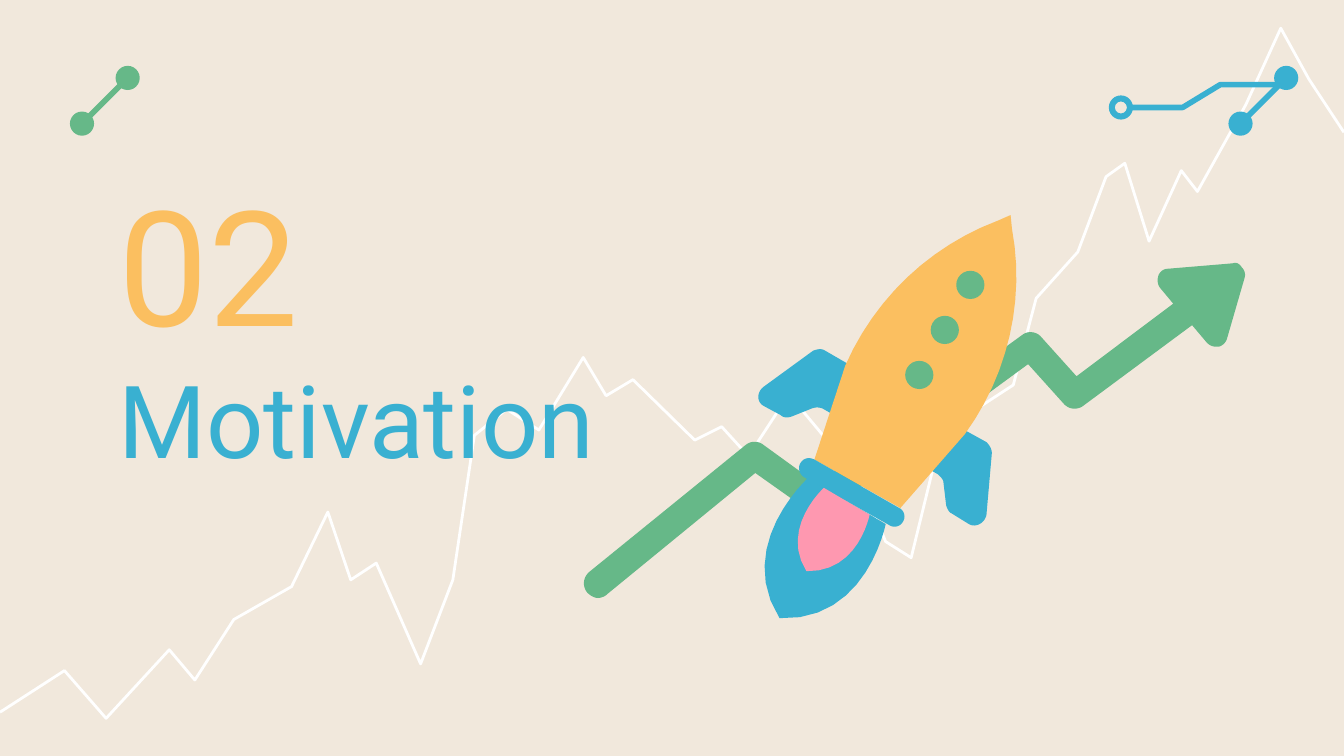
import pptx
import pptx.dml.color
import pptx.enum.shapes
import pptx.enum.text
import pptx.oxml.ns
import pptx.util
from lxml import etree

Inches = pptx.util.Inches
RGBColor = pptx.dml.color.RGBColor
Shape = pptx.enum.shapes.MSO_SHAPE

SAND = RGBColor(0xF1, 0xE8, 0xDC)
WHITE = RGBColor(0xFF, 0xFF, 0xFF)
GREEN = RGBColor(0x66, 0xB8, 0x88)
BLUE = RGBColor(0x39, 0xB0, 0xD1)
YELLOW = RGBColor(0xFB, 0xBF, 0x60)
PINK = RGBColor(0xFE, 0x98, 0xB0)

# Outlines in inches: a pair is a straight step, six numbers are a Bezier step.
TREND = [(0, 5.3), (0.48, 4.99), (0.79, 5.345), (1.26, 4.835), (1.45, 5.06),
         (1.74, 4.61), (2.17, 4.365), (2.44, 3.81), (2.61, 4.315), (2.8, 4.19),
         (3.13, 4.94), (3.37, 4.315), (3.53, 3.24), (3.77, 3.045), (4.01, 3.2),
         (4.34, 2.66), (4.51, 2.945), (4.71, 2.825), (5.17, 3.275), (5.37, 3.175),
         (5.57, 3.395), (5.87, 2.935), (6.4, 3.57), (6.59, 4.03), (6.78, 4.15),
         (7.01, 3.21), (7.54, 2.865), (7.71, 2.22), (8.02, 1.875), (8.23, 1.315),
         (8.37, 1.215), (8.55, 1.795), (8.79, 1.27), (8.91, 1.425), (9.27, 0.78),
         (9.53, 0.21), (9.74, 0.59), (10, 0.985)]
ARROW = [(9.24, 1.99), (9.22, 1.96, 9.2, 1.95, 9.17, 1.96), (8.69, 2),
         (8.66, 2, 8.63, 2.02, 8.62, 2.05), (8.61, 2.08, 8.61, 2.11, 8.63, 2.14),
         (8.73, 2.26), (8.01, 2.8), (7.74, 2.5), (7.71, 2.47, 7.65, 2.46, 7.61, 2.49),
         (6.08, 3.6), (5.68, 3.31), (5.64, 3.28, 5.59, 3.28, 5.55, 3.31),
         (4.38, 4.26), (4.34, 4.3, 4.33, 4.36, 4.37, 4.41),
         (4.39, 4.43, 4.42, 4.45, 4.45, 4.45), (4.47, 4.45, 4.5, 4.44, 4.52, 4.42),
         (5.62, 3.52), (6.03, 3.81), (6.06, 3.84, 6.11, 3.84, 6.15, 3.81),
         (7.65, 2.71), (7.92, 3.01), (7.96, 3.05, 8.02, 3.05, 8.06, 3.02),
         (8.87, 2.42), (8.98, 2.55), (9, 2.57, 9.02, 2.58, 9.05, 2.58), (9.07, 2.58),
         (9.1, 2.57, 9.12, 2.55, 9.13, 2.52), (9.26, 2.07),
         (9.27, 2.04, 9.26, 2.01, 9.24, 1.99)]
LEFT_FIN = [(6.14, 2.61), (6.11, 2.59, 6.08, 2.6, 6.05, 2.61), (5.68, 2.88),
            (5.63, 2.92, 5.63, 2.99, 5.68, 3.02), (5.81, 3.09),
            (5.83, 3.11, 5.86, 3.11, 5.89, 3.1), (6.04, 3.04),
            (6.07, 3.03, 6.09, 3.03, 6.12, 3.04), (6.33, 3.16), (6.52, 2.83)]
RIGHT_FIN = [(6.96, 3.08), (6.77, 3.41), (6.98, 3.53), (7, 3.55, 7.02, 3.57, 7.02, 3.59),
             (7.04, 3.76), (7.05, 3.79, 7.06, 3.81, 7.08, 3.82), (7.21, 3.9),
             (7.26, 3.93, 7.33, 3.89, 7.34, 3.83), (7.38, 3.37),
             (7.38, 3.34, 7.36, 3.31, 7.34, 3.29)]
BODY = [(7.52, 1.6), (7.43, 1.64), (6.92, 1.83, 6.51, 2.22, 6.29, 2.72), (6.06, 3.42),
        (6.7, 3.78), (7.18, 3.23), (7.5, 2.79, 7.63, 2.23, 7.53, 1.7)]
COLLAR = [(6.06, 3.42), (6.02, 3.4, 5.98, 3.41, 5.96, 3.44),
          (5.93, 3.48, 5.95, 3.53, 5.98, 3.55), (6.62, 3.91),
          (6.65, 3.93, 6.7, 3.92, 6.72, 3.88), (6.74, 3.85, 6.73, 3.8, 6.69, 3.78)]
FLAME = [(6.01, 3.56), (6.01, 3.56, 5.46, 4.06, 5.8, 4.6), (6.45, 4.63, 6.59, 3.9, 6.59, 3.9)]
FLAME_CORE = [(6.13, 3.63), (6.13, 3.63, 5.8, 3.93, 6, 4.25),
              (6.39, 4.26, 6.47, 3.83, 6.47, 3.83)]


def flatten(outline, steps=12):
    """Turn the Bezier steps of an outline into short straight ones."""
    points = [outline[0]]
    for step in outline[1:]:
        if len(step) == 2:
            points.append(step)
            continue
        x0, y0 = points[-1]
        x1, y1, x2, y2, x3, y3 = step
        for i in range(1, steps + 1):
            t = i / steps
            a, b, c, d = (1 - t) ** 3, 3 * t * (1 - t) ** 2, 3 * t * t * (1 - t), t ** 3
            points.append((a * x0 + b * x1 + c * x2 + d * x3,
                           a * y0 + b * y1 + c * y2 + d * y3))
    return [(Inches(x), Inches(y)) for x, y in points]


def write_text(tf, text, size, color, font="Roboto"):
    tf.word_wrap = True
    tf.auto_size = pptx.enum.text.MSO_AUTO_SIZE.NONE
    tf.vertical_anchor = pptx.enum.text.MSO_ANCHOR.MIDDLE
    tf.margin_left = tf.margin_right = tf.margin_top = tf.margin_bottom = Inches(0.1)
    p = tf.paragraphs[0]
    p.alignment = pptx.enum.text.PP_ALIGN.LEFT
    r = p.add_run()
    r.text = text
    r.font.name = font
    r.font.size = pptx.util.Pt(size)
    r.font.color.rgb = color


class Canvas:
    """The current slide and the way its elements are drawn."""

    def __init__(self, slide, background):
        self.slide = slide
        self.shapes = slide.shapes
        slide.background.fill.solid()
        slide.background.fill.fore_color.rgb = background

    def paint(self, sp, color):
        sp.shadow.inherit = False
        sp.fill.solid()
        sp.fill.fore_color.rgb = color
        sp.line.fill.background()

    def outline(self, outline, color):
        points = flatten(outline)
        builder = self.shapes.build_freeform(*points[0], scale=1.0)
        builder.add_line_segments(points[1:], close=True)
        self.paint(builder.convert_to_shape(), color)

    def polyline(self, points, color, width):
        points = flatten(points)
        builder = self.shapes.build_freeform(*points[0], scale=1.0)
        builder.add_line_segments(points[1:], close=False)
        sp = builder.convert_to_shape()
        sp.shadow.inherit = False
        sp.fill.background()
        sp.line.color.rgb = color
        sp.line.width = pptx.util.Pt(width)

    def dot(self, x, y, size, color, kind=Shape.OVAL):
        """Draw a round shape centred on x, y."""
        sp = self.shapes.add_shape(kind, Inches(x - size / 2), Inches(y - size / 2),
                                   Inches(size), Inches(size))
        self.paint(sp, color)

    def link(self, start, end, color):
        """Draw a line with a dot at each end."""
        line = self.shapes.add_connector(pptx.enum.shapes.MSO_CONNECTOR.STRAIGHT,
                                         *map(Inches, (*start, *end)))
        line.line.color.rgb = color
        line.line.width = pptx.util.Pt(3)
        etree.SubElement(line._element.spPr, pptx.oxml.ns.qn("a:effectLst"))
        for x, y in (start, end):
            self.dot(x, y, 0.18, color)

    def title(self, text, left, top, width, height, **style):
        sp = self.shapes.title
        sp.left, sp.top, sp.width, sp.height = map(Inches, (left, top, width, height))
        write_text(sp.text_frame, text, **style)
        self.shapes._spTree.append(sp._element)  # in front of the trend line

    def text(self, text, left, top, width, height, **style):
        sp = self.shapes.add_textbox(*map(Inches, (left, top, width, height)))
        write_text(sp.text_frame, text, **style)


def main():
    prs = pptx.Presentation()
    prs.slide_width, prs.slide_height = Inches(10), Inches(5.625)
    s = Canvas(prs.slides.add_slide(prs.slide_layouts[5]), SAND)

    s.polyline(TREND, WHITE, 1.5)
    s.polyline([(8.41, 0.8), (8.8, 0.8), (9.08, 0.63), (9.52, 0.63)], BLUE, 3)
    s.dot(8.34, 0.8, 0.18, BLUE, Shape.DONUT)
    for x, color in ((0.61, GREEN), (9.23, BLUE)):
        s.link((x, 0.92), (x + 0.34, 0.58), color)

    s.title("Motivation", 0.78, 2.57, 5.46, 1.09, size=54, color=BLUE)
    s.text("02", 0.78, 1.34, 3.61, 1.22, size=86, color=YELLOW)

    for outline, color in ((ARROW, GREEN), (LEFT_FIN, BLUE), (RIGHT_FIN, BLUE),
                           (BODY, YELLOW), (COLLAR, BLUE)):
        s.outline(outline, color)
    for i in range(3):
        s.dot(7.22 - 0.19 * i, 2.12 + 0.335 * i, 0.21, GREEN)
    s.outline(FLAME, BLUE)
    s.outline(FLAME_CORE, PINK)

    prs.save("out.pptx")


if __name__ == "__main__":
    main()
